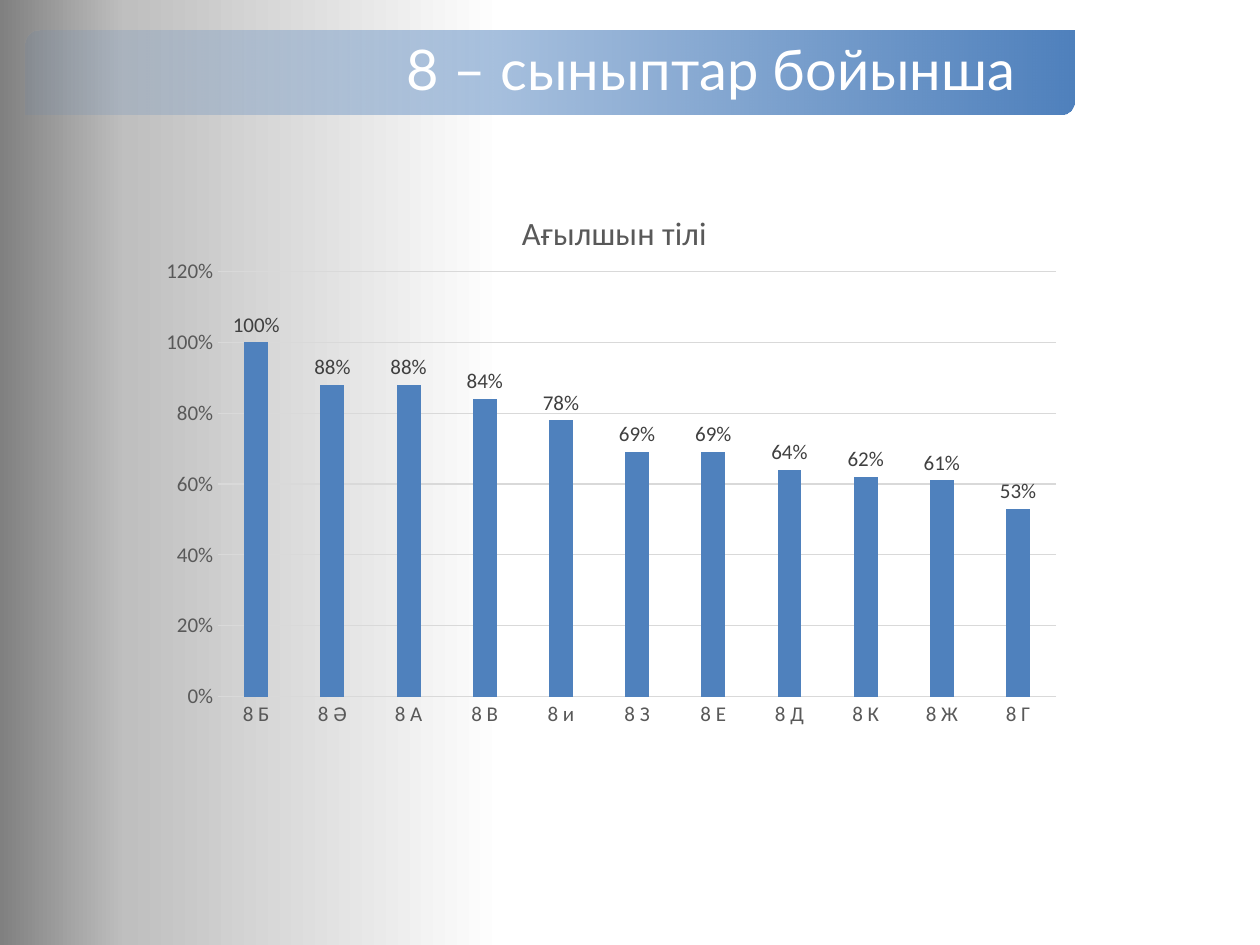
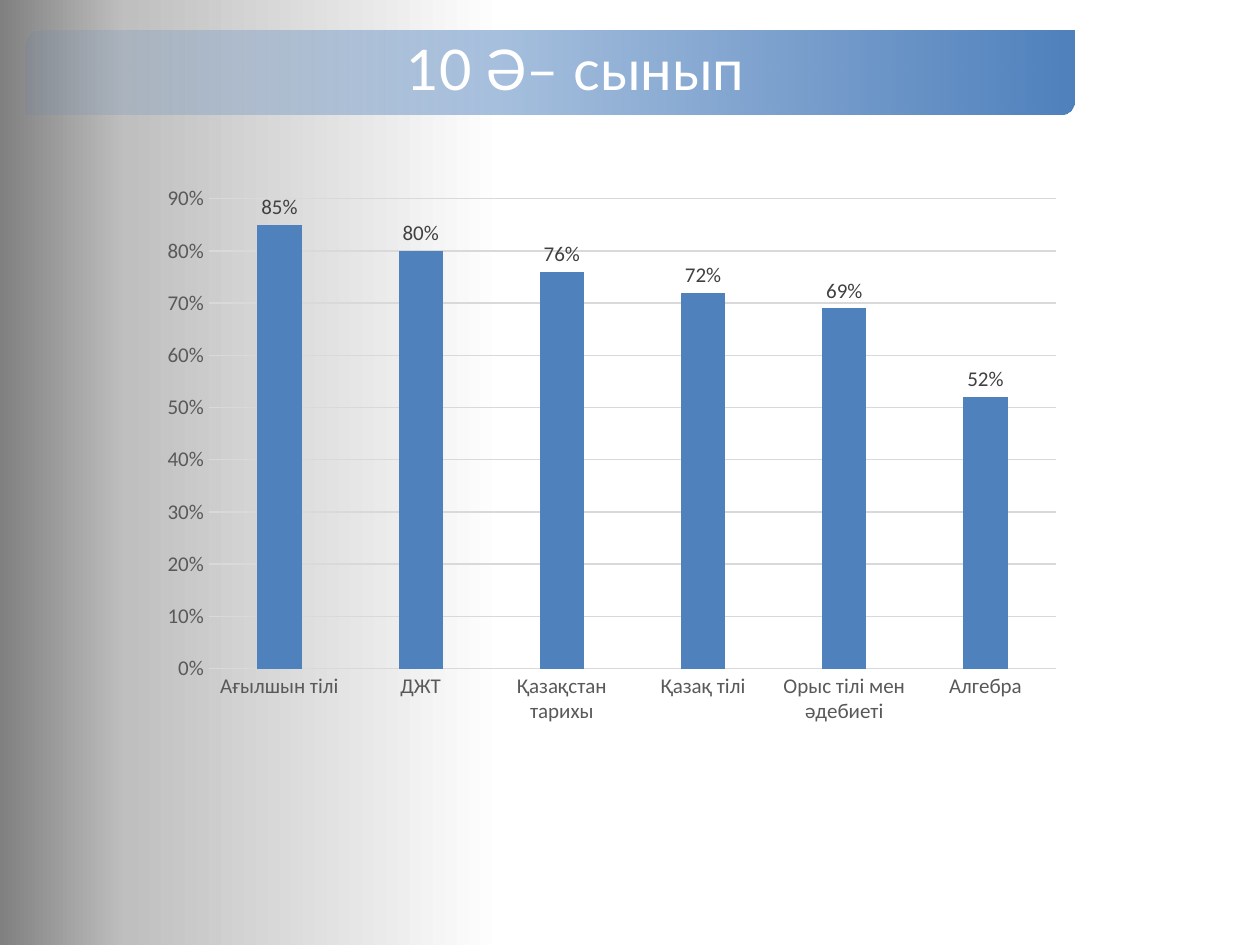
from dataclasses import dataclass

from lxml import etree
from pptx import Presentation
from pptx.chart.chart import Chart
from pptx.chart.data import CategoryChartData
from pptx.dml.color import RGBColor
from pptx.enum.chart import XL_CHART_TYPE, XL_LABEL_POSITION, XL_TICK_MARK
from pptx.enum.shapes import MSO_SHAPE
from pptx.enum.text import MSO_ANCHOR, MSO_AUTO_SIZE, PP_ALIGN
from pptx.oxml.ns import qn
from pptx.util import Inches, Pt

COLUMNS = XL_CHART_TYPE.COLUMN_CLUSTERED
OUTSIDE = XL_LABEL_POSITION.OUTSIDE_END
NO_TICK = XL_TICK_MARK.NONE
BAND_SHAPE = MSO_SHAPE.ROUND_2_DIAG_RECTANGLE
MIDDLE = MSO_ANCHOR.MIDDLE
NO_FIT = MSO_AUTO_SIZE.NONE
LEFT = PP_ALIGN.LEFT

BLUE, WHITE, GRID = "4F81BD", "FFFFFF", "D9D9D9"
AXIS_TEXT, LABEL_TEXT = "595959", "404040"
TITLE_FONT, CHART_FONT = "Lato", "Calibri"
PERCENT = "0%"
CELL = Inches(10) // 100
TITLE_ONLY = 5


@dataclass(frozen=True)
class Area:
    column: float
    row: float
    columns: float
    rows: float

    def lengths(self) -> tuple[int, ...]:
        return tuple(round(n * CELL) for n in (self.column, self.row, self.columns, self.rows))


@dataclass(frozen=True)
class Stop:
    percent: int
    color: str
    opacity: int = 100


@dataclass(frozen=True)
class ResultSlide:
    title: str
    results: dict[str, float]
    top_value: float
    step: float
    plot: dict[str, float]
    chart_title: str = ""


BAND = Area(2, 2.4, 83.3, 6.7)
CHART = Area(11.4, 14, 73.9, 44.4)
TITLE_INDENT = 30.3
CHART_TITLE_SPOT = {"x": 0.4, "y": 0.05}
PAGE_STOPS = [Stop(60, WHITE), Stop(90, "BFBFBF"), Stop(100, "808080")]
BAND_STOPS = [Stop(0, BLUE, 10), Stop(100, BLUE)]

SLIDES = [
    ResultSlide(
        "8 – сыныптар бойынша",
        {"8 Б": 1, "8 Ә": 0.88, "8 А": 0.88, "8 В": 0.84, "8 и": 0.78, "8 З": 0.69,
         "8 Е": 0.69, "8 Д": 0.64, "8 К": 0.62, "8 Ж": 0.61, "8 Г": 0.53},
        1.2, 0.2, {"x": 0.08, "y": 0.17, "w": 0.9, "h": 0.76}, "Ағылшын тілі",
    ),
    ResultSlide(
        "10 Ә– сынып",
        {"Ағылшын тілі": 0.85, "ДЖТ": 0.8, "Қазақстан тарихы": 0.76,
         "Қазақ тілі": 0.72, "Орыс тілі мен әдебиеті": 0.69, "Алгебра": 0.52},
        0.9, 0.1, {"x": 0.07, "y": 0.04, "w": 0.91, "h": 0.84},
    ),
]


def rgb(color: str) -> RGBColor:
    return RGBColor.from_string(color)


def style_font(font, name: str, size: float, color: str) -> None:
    font.name = name
    font.size = Pt(size)
    font.bold = False
    font.color.rgb = rgb(color)


def replace_fill(owner, stops: list[Stop], angle: int) -> None:
    gradient = etree.Element(qn("a:gradFill"), rotWithShape="1")
    stop_list = etree.SubElement(gradient, qn("a:gsLst"))
    for stop in stops:
        entry = etree.SubElement(stop_list, qn("a:gs"), pos=str(stop.percent * 1000))
        color = etree.SubElement(entry, qn("a:srgbClr"), val=stop.color)
        if stop.opacity < 100:
            etree.SubElement(color, qn("a:alpha"), val=str(stop.opacity * 1000))
    etree.SubElement(gradient, qn("a:lin"), ang=str(angle * 60000), scaled="0")
    solid = owner.find(qn("a:solidFill"))
    owner.replace(solid, gradient)


def place_inside_chart(owner, index: int, spot: dict[str, float]) -> None:
    for old in owner.findall(qn("c:layout")):
        owner.remove(old)
    layout = etree.Element(qn("c:layout"))
    manual = etree.SubElement(layout, qn("c:manualLayout"))
    if "w" in spot:
        etree.SubElement(manual, qn("c:layoutTarget"), val="inner")
    for mode in ("xMode", "yMode"):
        etree.SubElement(manual, qn(f"c:{mode}"), val="edge")
    for side, share in spot.items():
        etree.SubElement(manual, qn(f"c:{side}"), val=str(share))
    owner.insert(index, layout)


def paint_background(deck) -> None:
    master = deck.slide_master
    master.background.fill.solid()
    replace_fill(master.element.find(f".//{qn('p:bgPr')}"), PAGE_STOPS, 180)


def add_title(page, text: str) -> None:
    title = page.shapes.title
    band = page.shapes.add_shape(BAND_SHAPE, *BAND.lengths())
    band.shadow.inherit = False
    band.line.fill.background()
    band.fill.solid()
    replace_fill(band.element.spPr, BAND_STOPS, 0)
    title.element.addprevious(band.element)

    title.left, title.top, title.width, title.height = BAND.lengths()
    frame = title.text_frame
    frame.auto_size = NO_FIT
    frame.word_wrap = True
    frame.vertical_anchor = MIDDLE
    frame.margin_left = round(TITLE_INDENT * CELL)
    frame.margin_right = frame.margin_top = frame.margin_bottom = Inches(0.17)
    para = frame.paragraphs[0]
    para.alignment = LEFT
    para.line_spacing = 0.9
    span = para.add_run()
    span.text = text
    style_font(span.font, TITLE_FONT, 32, WHITE)


def style_axes(chart: Chart, top_value: float, step: float) -> None:
    for axis in (chart.category_axis, chart.value_axis):
        axis.major_tick_mark = axis.minor_tick_mark = NO_TICK
        style_font(axis.tick_labels.font, CHART_FONT, 12, AXIS_TEXT)
    values = chart.value_axis
    values.minimum_scale, values.maximum_scale, values.major_unit = 0, top_value, step
    values.tick_labels.number_format = PERCENT
    values.tick_labels.number_format_is_linked = False
    values.format.line.fill.background()
    for line in (chart.category_axis.format.line, values.major_gridlines.format.line):
        line.color.rgb = rgb(GRID)
        line.width = Pt(0.75)


def style_columns(chart: Chart) -> None:
    plot = chart.plots[0]
    plot.gap_width, plot.overlap, plot.vary_by_categories = 219, -27, False
    fill = plot.series[0].format.fill
    fill.solid()
    fill.fore_color.rgb = rgb(BLUE)
    plot.has_data_labels = True
    labels = plot.data_labels
    labels.show_value = True
    labels.position = OUTSIDE
    labels.number_format = PERCENT
    labels.number_format_is_linked = False
    style_font(labels.font, CHART_FONT, 12, LABEL_TEXT)


def add_results_chart(page, content: ResultSlide) -> None:
    data = CategoryChartData(number_format=PERCENT)
    data.categories = list(content.results)
    data.add_series("Series 1", list(content.results.values()))
    chart = page.shapes.add_chart(COLUMNS, *CHART.lengths(), data).chart
    style_font(chart.font, CHART_FONT, 10, "000000")
    chart.has_legend = False
    style_axes(chart, content.top_value, content.step)
    style_columns(chart)
    chart_space = chart.element
    place_inside_chart(chart_space.find(f".//{qn('c:plotArea')}"), 0, content.plot)
    chart.has_title = bool(content.chart_title)
    if content.chart_title:
        span = chart.chart_title.text_frame.paragraphs[0].add_run()
        span.text = content.chart_title
        style_font(span.font, CHART_FONT, 18.6, AXIS_TEXT)
        place_inside_chart(chart_space.find(f".//{qn('c:title')}"), 1, CHART_TITLE_SPOT)


def main() -> None:
    deck = Presentation()
    deck.slide_width, deck.slide_height = 100 * CELL, 75 * CELL
    paint_background(deck)
    for content in SLIDES:
        page = deck.slides.add_slide(deck.slide_layouts[TITLE_ONLY])
        add_title(page, content.title)
        add_results_chart(page, content)
    deck.save("out.pptx")


if __name__ == "__main__":
    main()
